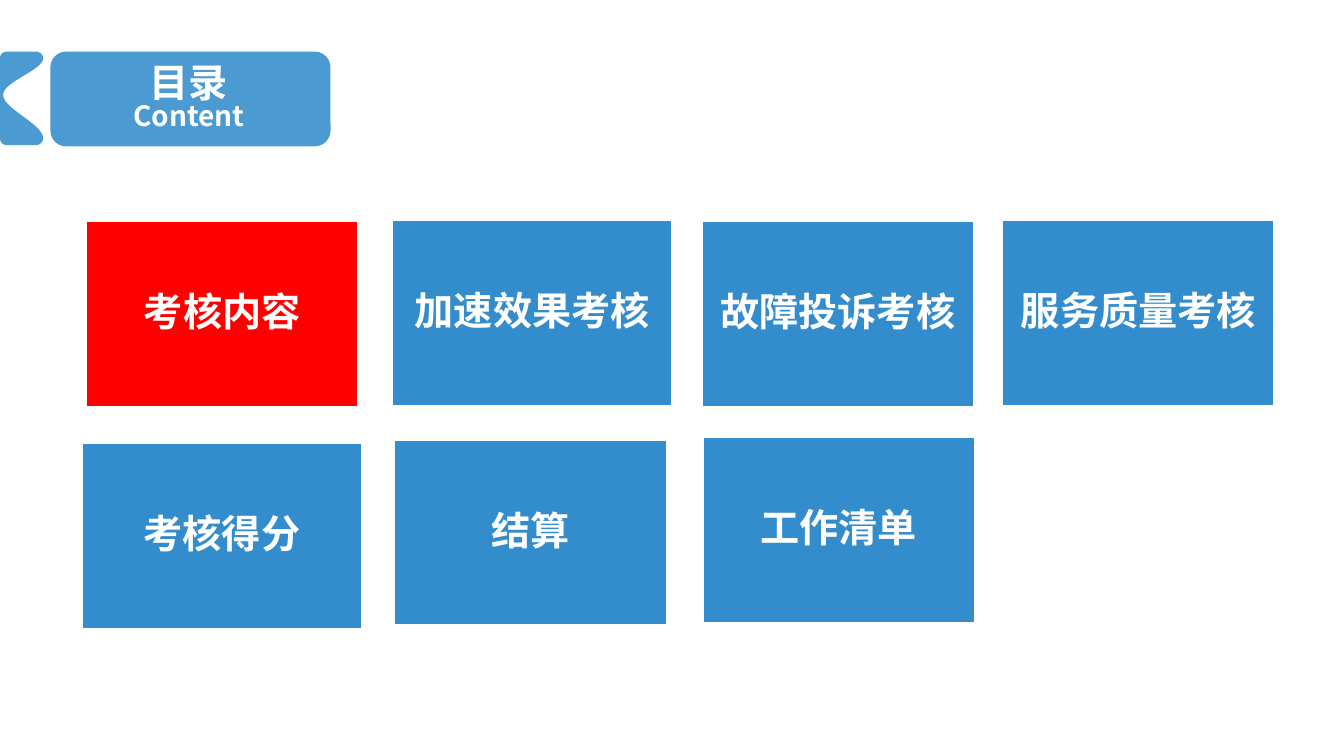
from pptx import Presentation
from pptx.dml.color import RGBColor
from pptx.enum.shapes import MSO_SHAPE as Shape
from pptx.enum.text import MSO_ANCHOR as Anchor, MSO_AUTO_SIZE as Auto, PP_ALIGN as Align
from pptx.oxml.ns import qn
from pptx.util import Cm, Pt
from lxml.etree import SubElement

FONT = "Noto Sans CJK SC"
BLUE, RED, WHITE = "0070C0", "FF0000", "FFFFFF"
HEAD = [("目录", 28), ("Content", 20)]
HIGH = 4.7
CARDS = [
    ("考核内容", 2.16, 5.56, 6.88, RED, 100),
    ("加速效果考核", 9.88, 5.54, 7.07, BLUE, 80),
    ("故障投诉考核", 17.68, 5.56, 6.87, BLUE, 80),
    ("服务质量考核", 25.25, 5.54, 6.88, BLUE, 80),
    ("考核得分", 2.06, 11.15, 7.07, BLUE, 80),
    ("结算", 9.93, 11.07, 6.88, BLUE, 80),
    ("工作清单", 17.7, 11, 6.88, BLUE, 80),
]
START = (0.18, 3.66)
NOTCH = [
    [(0.08, 3.66), (0, 3.58), (0, 3.48)],
    [(0, 1.47)],
    [(0, 1.37), (0.08, 1.3), (0.18, 1.3)],
    [(0.91, 1.3)],
    [(0.99, 1.3), (1.09, 1.37), (1.09, 1.47)],
    [(1.07, 1.78), (0.08, 2.06), (0.08, 2.39)],
    [(0.08, 2.74), (1.07, 3.12), (1.09, 3.48)],
    [(1.09, 3.58), (0.99, 3.66), (0.91, 3.66)],
]


def paint(shape, color, alpha):
    shape.shadow.inherit = False
    shape.fill.solid()
    shape.fill.fore_color.rgb = RGBColor.from_string(color)
    if alpha < 100:
        tint = shape.fill._xPr.find(qn("a:solidFill"))[0]
        SubElement(tint, qn("a:alpha")).set("val", str(alpha * 1000))
    shape.line.fill.background()


def write(para, text, size):
    run = para.add_run()
    run.text = text
    font = run.font
    font.name, font.size, font.bold = FONT, Pt(size), True
    font.color.rgb = RGBColor.from_string(WHITE)
    SubElement(font._element, qn("a:ea")).set("typeface", FONT)


def setup(shape, space):
    frame = shape.text_frame
    frame.word_wrap, frame.auto_size = True, Auto.NONE
    frame.vertical_anchor = Anchor.MIDDLE
    para = frame.paragraphs[0]
    para.alignment, para.line_spacing = Align.CENTER, space
    return para


def trace(start, parts, steps=16):
    dots = [start]
    for part in parts:
        if len(part) == 1:
            dots += part
            continue
        ends = [dots[-1], *part]
        for step in range(1, steps + 1):
            t = step / steps
            mix = ((1 - t) ** 3, 3 * t * (1 - t) ** 2, 3 * t * t * (1 - t), t ** 3)
            dots.append(tuple(sum(m * end[i] for m, end in zip(mix, ends)) for i in (0, 1)))
    return [(Cm(x), Cm(y)) for x, y in dots]


def add_head(slide):
    shapes = slide.shapes
    badge = shapes.add_shape(Shape.FLOWCHART_ALTERNATE_PROCESS, Cm(1.27), Cm(1.3), Cm(7.06), Cm(2.39))
    paint(badge, BLUE, 70)
    first, *rest = trace(START, NOTCH)
    pen = shapes.build_freeform(*first)
    pen.add_line_segments(rest, close=True)
    paint(pen.convert_to_shape(), BLUE, 70)
    title = shapes.title
    title.left, title.top, title.width, title.height = Cm(1.32), Cm(1.32), Cm(6.88), Cm(2.39)
    para = setup(title, 0.8)
    for i, (text, size) in enumerate(HEAD):
        if i:
            para.add_line_break()
        write(para, text, size)
    badge._element.getparent().append(title._element)


def add_card(slide, text, left, top, width, color, alpha):
    card = slide.shapes.add_shape(Shape.RECTANGLE, Cm(left), Cm(top), Cm(width), Cm(HIGH))
    paint(card, color, alpha)
    card.line.color.rgb = RGBColor.from_string(WHITE)
    card.line.width = Pt(2)
    frame = card.text_frame
    frame.margin_left = frame.margin_right = frame.margin_top = frame.margin_bottom = Cm(0.38)
    write(setup(card, 0.9), text, 28)


def main():
    deck = Presentation()
    deck.slide_width, deck.slide_height = Cm(33.87), Cm(19.05)
    slide = deck.slides.add_slide(deck.slide_layouts[5])
    add_head(slide)
    for card in CARDS:
        add_card(slide, *card)
    deck.save("out.pptx")


if __name__ == "__main__":
    main()
